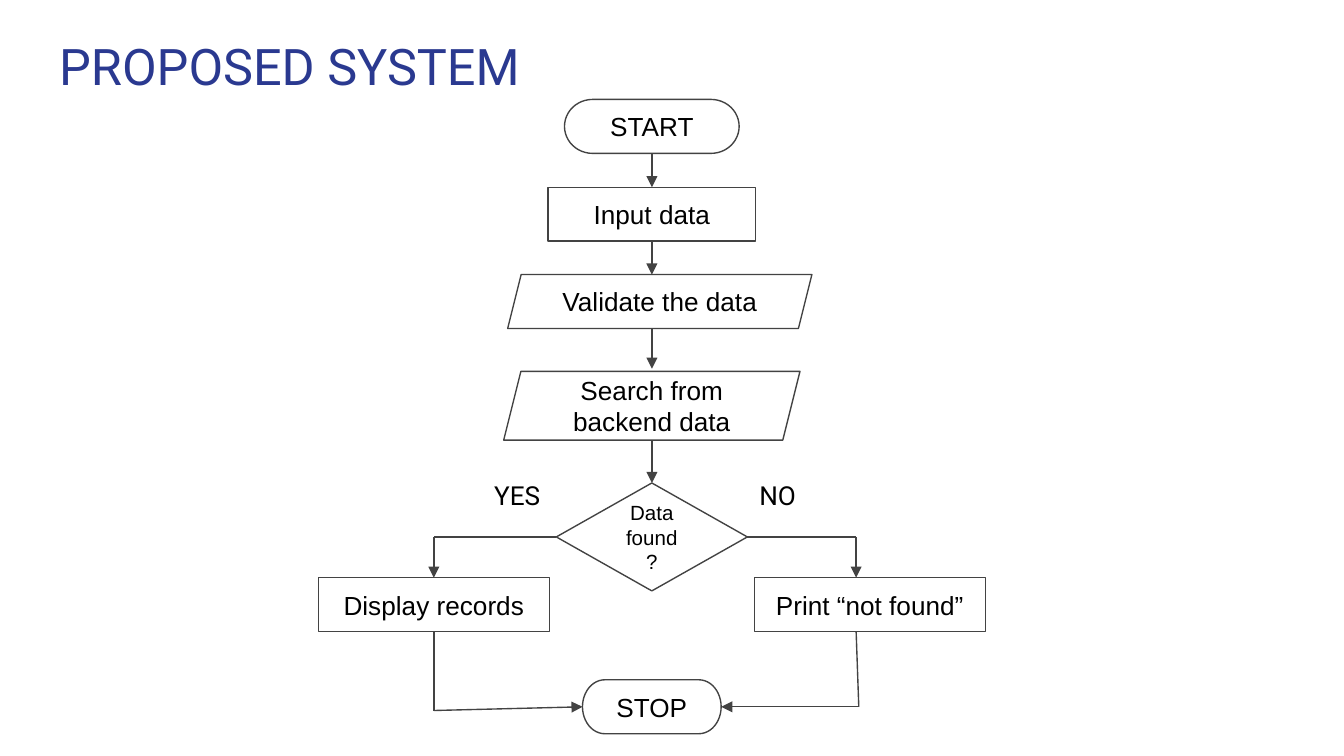
from lxml.etree import SubElement
from pptx import Presentation
from pptx.dml.color import RGBColor
from pptx.enum.shapes import MSO_CONNECTOR, MSO_SHAPE
from pptx.enum.text import MSO_ANCHOR, PP_ALIGN
from pptx.oxml.ns import qn
from pptx.util import Cm, Pt

TOP, LEFT, BOTTOM, RIGHT = range(4)
AXIS, YES_X, NO_X = 12.32, 8.2, 16.18
BRANCH_Y, RESULT_Y, STOP_Y = 10.15, 10.92, 13.36
BOX_HEIGHT = 1.02


def color(value):
    return RGBColor.from_string(value)


def apply_format(target, values):
    for name, value in values.items():
        setattr(target, name, value)


class Flowchart:
    line_color = "434343"
    fill_color = "FFFFFF"
    text_color = "000000"
    line_width = Pt(0.75)
    margins = {f"margin_{side}": Cm(0.25) for side in ("left", "right", "top", "bottom")}

    def __init__(self, slide):
        self.slide = slide

    def add_text(self, shape, text, font, size, ink, align, anchor):
        frame = shape.text_frame
        apply_format(frame, {"word_wrap": True, "vertical_anchor": anchor, **self.margins})
        for index, line in enumerate(text.split("\n")):
            paragraph = frame.add_paragraph() if index else frame.paragraphs[0]
            paragraph.alignment = align
            run = paragraph.add_run()
            run.text = line
            apply_format(run.font, {"name": font, "size": Pt(size)})
            run.font.color.rgb = color(ink)

    def label(self, text, left, top, width, height, size=14, ink=text_color):
        shape = self.slide.shapes.add_textbox(Cm(left), Cm(top), Cm(width), Cm(height))
        self.add_text(shape, text, "Roboto", size, ink, PP_ALIGN.LEFT, MSO_ANCHOR.TOP)

    def node(self, kind, text, center, top, width, height=BOX_HEIGHT, size=14):
        shape = self.slide.shapes.add_shape(
            kind, Cm(center - width / 2), Cm(top), Cm(width), Cm(height)
        )
        shape.shadow.inherit = False
        shape.fill.solid()
        shape.fill.fore_color.rgb = color(self.fill_color)
        shape.line.color.rgb = color(self.line_color)
        shape.line.width = self.line_width
        self.add_text(shape, text, "Arial", size, self.text_color, PP_ALIGN.CENTER, MSO_ANCHOR.MIDDLE)
        return shape

    def connect(self, start, end, begin_at=None, end_at=None, arrow=True):
        points = [Cm(value) for value in (*start, *end)]
        connector = self.slide.shapes.add_connector(MSO_CONNECTOR.STRAIGHT, *points)
        connector.line.color.rgb = color(self.line_color)
        connector.line.width = self.line_width
        properties = connector._element.spPr
        if arrow:
            SubElement(properties.find(qn("a:ln")), qn("a:tailEnd"), type="triangle")
        SubElement(properties, qn("a:effectLst"))
        if begin_at:
            connector.begin_connect(*begin_at)
        if end_at:
            connector.end_connect(*end_at)


def main():
    presentation = Presentation()
    apply_format(presentation, {"slide_width": Cm(25.4), "slide_height": Cm(14.29)})
    chart = Flowchart(presentation.slides.add_slide(presentation.slide_layouts[6]))

    chart.label("PROPOSED SYSTEM", 0.87, 0.41, 23.67, 1.68, size=27, ink="2A3990")

    terminator = MSO_SHAPE.FLOWCHART_TERMINATOR
    start = chart.node(terminator, "START", AXIS, 1.88, 3.3)
    input_box = chart.node(MSO_SHAPE.RECTANGLE, "Input data", AXIS, 3.54, 3.92)
    chart.node(MSO_SHAPE.PARALLELOGRAM, "Validate the data", 12.47, 5.19, 5.75)
    chart.node(MSO_SHAPE.PARALLELOGRAM, "Search from backend data", AXIS, 7.02, 5.6, 1.3)
    decision = chart.node(MSO_SHAPE.DIAMOND, "Data found\n?", AXIS, 9.13, 3.61, 2.04, size=11)
    display = chart.node(MSO_SHAPE.RECTANGLE, "Display records", YES_X, RESULT_Y, 4.37)
    chart.node(MSO_SHAPE.RECTANGLE, "Print “not found”", 16.44, RESULT_Y, 4.37)
    stop = chart.node(terminator, "STOP", AXIS, 12.85, 2.62)

    chart.connect((AXIS, 2.9), (AXIS, 3.54), (start, BOTTOM), (input_box, TOP))
    chart.connect((AXIS, 4.56), (AXIS, 5.19), (input_box, BOTTOM))
    chart.connect((AXIS, 6.21), (AXIS, 6.97))
    chart.connect((AXIS, 8.32), (AXIS, 9.13), end_at=(decision, TOP))

    chart.connect((10.52, BRANCH_Y), (YES_X, BRANCH_Y), (decision, LEFT), arrow=False)
    chart.connect((YES_X, BRANCH_Y), (YES_X, RESULT_Y), end_at=(display, TOP))
    chart.connect((YES_X, 11.94), (YES_X, 13.43), (display, BOTTOM), arrow=False)
    chart.connect((YES_X, 13.43), (11.01, STOP_Y), end_at=(stop, LEFT))

    chart.connect((14.12, BRANCH_Y), (NO_X, BRANCH_Y), (decision, RIGHT), arrow=False)
    chart.connect((NO_X, BRANCH_Y), (NO_X, RESULT_Y))
    chart.connect((NO_X, 11.94), (16.23, STOP_Y), arrow=False)
    chart.connect((16.23, STOP_Y), (13.63, STOP_Y), end_at=(stop, RIGHT))

    for text, left in (("YES", 9.09), ("NO", 14.1)):
        chart.label(text, left, 8.81, 1.42, 1.12)

    presentation.save("out.pptx")


if __name__ == "__main__":
    main()
